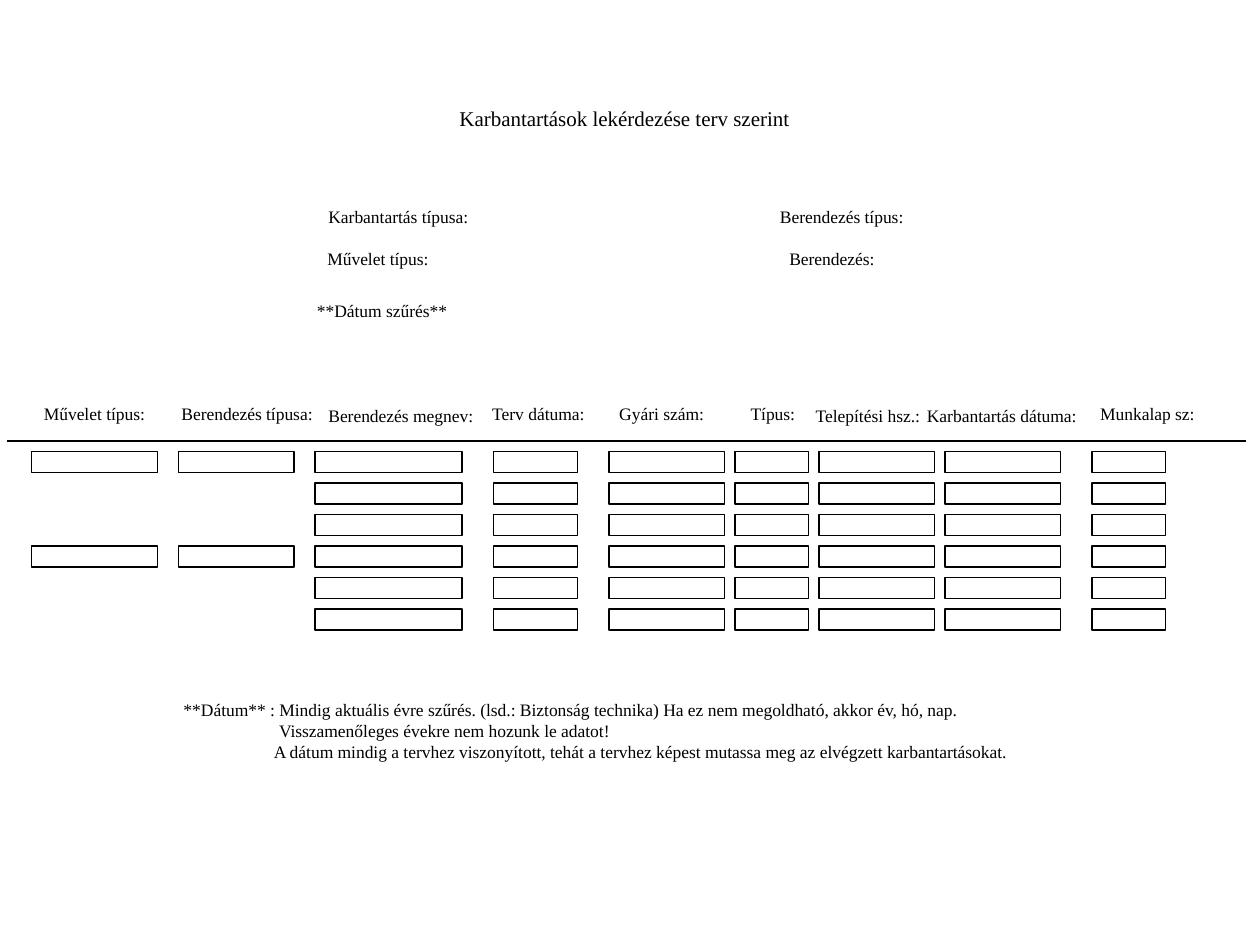
from dataclasses import dataclass

from lxml.etree import SubElement
from pptx import Presentation
from pptx.dml.color import RGBColor
from pptx.enum.shapes import MSO_CONNECTOR, MSO_SHAPE
from pptx.enum.text import MSO_AUTO_SIZE, PP_ALIGN
from pptx.oxml.ns import qn
from pptx.util import Inches, Pt

TITLE = "Karbantartások lekérdezése terv szerint"
FILTERS = [
    ("Karbantartás típusa:", 30.1, 19, 15.8),
    ("Művelet típus:", 30, 23, 12.2),
    ("Berendezés típus:", 73.1, 19, 14.3),
    ("Berendezés:", 74, 23, 10.8),
    ("**Dátum szűrés**", 29, 28, 15),
]
HEADINGS = [
    ("Művelet típus:", 3, 37.8, 12.2),
    ("Berendezés típusa:", 16.1, 37.8, 15),
    ("Berendezés megnev:", 30.1, 38, 16.3),
    ("Terv dátuma:", 45.7, 37.8, 11.4),
    ("Gyári szám:", 57.8, 37.8, 10.8),
    ("Típus:", 70.3, 37.8, 6.8),
    ("Telepítési hsz.:", 76.5, 38, 12.6),
    ("Karbantartás dátuma:", 87.1, 38, 16.7),
    ("Munkalap sz:", 103.6, 37.8, 11.5),
]
GROUP_FIELDS = [(3, 12), (17, 11)]
DETAIL_FIELDS = [(30, 14), (47, 8), (58, 11), (70, 7), (78, 11), (90, 11), (104, 7)]
NOTES = [
    ("**Dátum** : Mindig aktuális évre szűrés. (lsd.: Biztonság technika) "
     "Ha ez nem megoldható, akkor év, hó, nap.", 0),
    ("Visszamenőleges évekre nem hozunk le adatot!", 9.1),
    ("A dátum mindig a tervhez viszonyított, tehát a tervhez képest mutassa meg "
     "az elvégzett karbantartásokat.", 8.6),
]
ROW_COUNT, ROWS_PER_GROUP = 6, 3
FIRST_ROW, ROW_STEP, FIELD_HEIGHT = 43, 3, 2
RULE_LEFT, RULE_RIGHT, RULE_TOP = 0.7, 118.7, 42
LABEL_HEIGHT = 3.2


@dataclass(frozen=True)
class Theme:
    font: str = "Times New Roman"
    ink: RGBColor = RGBColor(0, 0, 0)
    title_size: Pt = Pt(12)
    body_size: Pt = Pt(10)
    line_width: Pt = Pt(0.75)


THEME = Theme()


def grid(units):
    return Inches(units / 12)


def add_text(page, lines, place, size=THEME.body_size, align=PP_ALIGN.LEFT, wrap=False):
    frame = page.shapes.add_textbox(*map(grid, place)).text_frame
    frame.word_wrap = wrap
    frame.auto_size = MSO_AUTO_SIZE.NONE if wrap else MSO_AUTO_SIZE.SHAPE_TO_FIT_TEXT
    for index, (text, indent) in enumerate(lines):
        para = frame.add_paragraph() if index else frame.paragraphs[0]
        para.text = text
        para.alignment = align
        if indent:
            para._p.get_or_add_pPr().set("marL", str(grid(indent)))
        para.font.name = THEME.font
        para.font.size = size
        para.font.color.rgb = THEME.ink


def style_line(line):
    line.color.rgb = THEME.ink
    line.width = THEME.line_width


def add_rule(page):
    rule = page.shapes.add_connector(
        MSO_CONNECTOR.STRAIGHT,
        *map(grid, (RULE_LEFT, RULE_TOP, RULE_RIGHT, RULE_TOP)))
    style_line(rule.line)
    SubElement(rule._element.spPr, qn("a:effectLst"))


def add_field(page, left, top, width):
    field = page.shapes.add_shape(
        MSO_SHAPE.RECTANGLE, *map(grid, (left, top, width, FIELD_HEIGHT)))
    field.shadow.inherit = False
    field.fill.background()
    style_line(field.line)


def main():
    deck = Presentation()
    deck.slide_width, deck.slide_height = Inches(10), Inches(7.5)
    page = deck.slides.add_slide(deck.slide_layouts[6])

    add_text(page, [(TITLE, 0)], (2, 9.5, 115, 3.6), THEME.title_size,
             PP_ALIGN.CENTER, wrap=True)
    for text, left, top, width in FILTERS + HEADINGS:
        add_text(page, [(text, 0)], (left, top, width, LABEL_HEIGHT))
    add_rule(page)
    for row in range(ROW_COUNT):
        starts_group = row % ROWS_PER_GROUP == 0
        fields = GROUP_FIELDS + DETAIL_FIELDS if starts_group else DETAIL_FIELDS
        for left, width in fields:
            add_field(page, left, FIRST_ROW + row * ROW_STEP, width)
    add_text(page, NOTES, (16.3, 66, 81.4, 11.3), wrap=True)

    deck.save("out.pptx")


if __name__ == "__main__":
    main()
